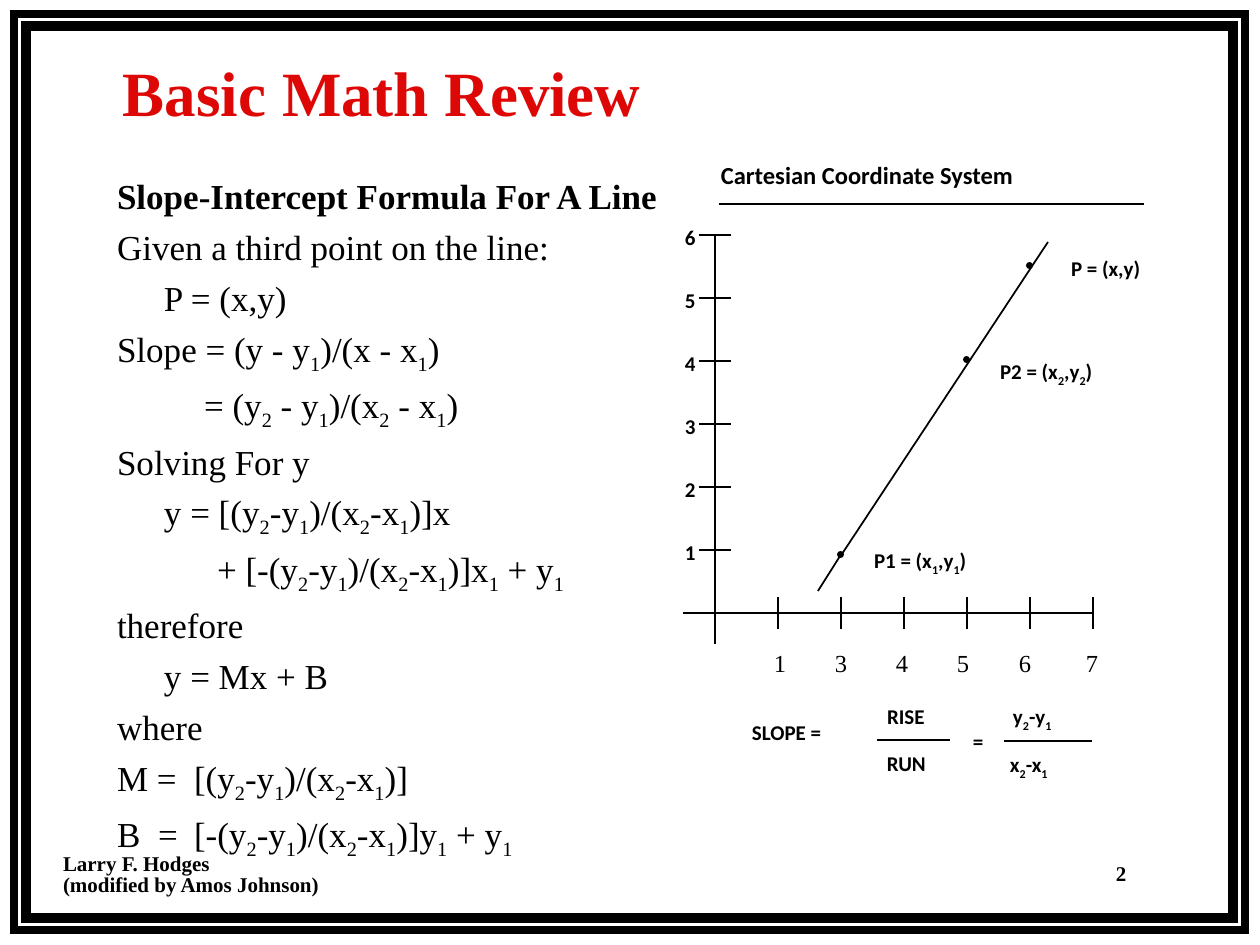
from lxml.etree import SubElement
from pptx import Presentation
from pptx.dml.color import RGBColor
from pptx.enum.shapes import MSO_CONNECTOR, MSO_SHAPE
from pptx.oxml.ns import qn
from pptx.util import Emu, Pt

BLACK = RGBColor(0x00, 0x00, 0x00)
RED = RGBColor(0xDD, 0x08, 0x06)

SERIF = "Times New Roman"
LABEL = {"name": "Calibri", "size": Pt(12), "bold": True}
HEADING = {**LABEL, "size": Pt(14)}
SCALE = {"name": SERIF, "size": Pt(14)}
FOOTER = {"name": SERIF, "size": Pt(12), "bold": True}
TITLE = {"name": SERIF, "size": Pt(36), "bold": True}
BODY = {"name": SERIF, "size": Pt(20)}

WIDE_INSET, NARROW_INSET = (13, 6), (9, 4)
ORIGIN_X, ORIGIN_Y, UNIT, TICK = 715, 613, 63, 16

DERIVATION = [
    ("Slope-Intercept Formula For A Line", 0, ()),
    ("Given a third point on the line:", 0, ()),
    ("P = (x,y)", 47, ()),
    ("Slope = (y - y_1)/(x - x_1)", 0, ()),
    ("= (y_2 - y_1)/(x_2 - x_1)", 87, ()),
    ("Solving For y", 0, ()),
    ("y = [(y_2-y_1)/(x_2-x_1)]x", 47, ()),
    ("+ [-(y_2-y_1)/(x_2-x_1)]x_1 + y_1", 100, ()),
    ("therefore", 0, ()),
    ("y = Mx + B", 47, ()),
    ("where", 0, ()),
    ("M =\t[(y_2-y_1)/(x_2-x_1)]", 0, (77,)),
    ("B\t=\t[-(y_2-y_1)/(x_2-x_1)]y_1 + y_1", 0, (41, 77)),
]
FORMULA_PARTS = [
    ("SLOPE =", 739, 714, 121),
    ("RISE", 874, 698, 134),
    ("RUN", 874, 745, 112),
    ("=", 960, 723, 48),
    ("y_2-y_1", 1000, 698, 89),
    ("x_2-x_1", 997, 746, 89),
]
POINTS = [
    ("P1 = (x_1,y_1)", 861, 542, 838, 552),
    ("P2 = (x_2,y_2)", 987, 353, 964, 357),
    ("P = (x,y)", 1058, 250, 1027, 263),
]


def px(length):
    """Turn pixels into EMU."""
    return Emu(round(length * 914400 / 126))


def add_runs(paragraph, text, style, color=BLACK):
    """Write text whose underscores each lower the digit that follows."""
    first, *rest = text.split("_")
    pieces = [(first, False)]
    for part in rest:
        pieces += [(part[0], True), (part[1:], False)]
    for piece, lowered in pieces:
        if not piece:
            continue
        run = paragraph.add_run()
        run.text = piece
        for name, value in style.items():
            setattr(run.font, name, value)
        run.font.color.rgb = color
        if lowered:
            run.font._element.set("baseline", "-25000")


def add_tabs(paragraph, stops, align="l"):
    """Give a paragraph its tab stops."""
    tab_list = SubElement(paragraph._p.get_or_add_pPr(), qn("a:tabLst"))
    for stop in stops:
        SubElement(tab_list, qn("a:tab"), pos=str(px(stop)), algn=align)


def add_frame(slide, left, top, width, height, inset=WIDE_INSET):
    """Add an empty wrapped text box and return its text frame."""
    frame = slide.shapes.add_textbox(*map(px, (left, top, width, height))).text_frame
    across, down = map(px, inset)
    margins = {"margin_left": across, "margin_right": across,
               "margin_top": down, "margin_bottom": down}
    for name, value in {**margins, "word_wrap": True}.items():
        setattr(frame, name, value)
    return frame


def add_label(slide, text, left, top, width, height=38, style=LABEL,
              color=BLACK, inset=WIDE_INSET, spacing=None):
    """Add a text box with one paragraph per line of text."""
    frame = add_frame(slide, left, top, width, height, inset)
    for index, line in enumerate(text.split("\n")):
        paragraph = frame.add_paragraph() if index else frame.paragraphs[0]
        paragraph.line_spacing = spacing
        add_runs(paragraph, line, style, color)


def add_line(slide, x1, y1, x2, y2):
    """Draw a thin black line."""
    line = slide.shapes.add_connector(MSO_CONNECTOR.STRAIGHT, *map(px, (x1, y1, x2, y2)))
    line.line.color.rgb = BLACK
    line.line.width = Pt(1)
    SubElement(line._element.spPr, qn("a:effectLst"))


def add_outline(slide, kind, left, top, width, height, weight, filled=False):
    """Add a black-edged shape with sharp corners, solid or hollow."""
    shape = slide.shapes.add_shape(kind, *map(px, (left, top, width, height)))
    shape.shadow.inherit = False
    shape.line.color.rgb = BLACK
    shape.line.width = Pt(weight)
    SubElement(shape._element.spPr.find(qn("a:ln")), qn("a:miter"), lim="800000")
    if filled:
        shape.fill.solid()
        shape.fill.fore_color.rgb = BLACK
    else:
        shape.fill.background()


def add_derivation(slide):
    """Write the steps from slope to intercept."""
    frame = add_frame(slide, 104, 169, 777, 703)
    for index, (step, indent, stops) in enumerate(DERIVATION):
        paragraph = frame.add_paragraph() if index else frame.paragraphs[0]
        if index:
            paragraph.space_before = Pt(5)
        paragraph._p.get_or_add_pPr().set("marL", str(px(indent)))
        if stops:
            add_tabs(paragraph, stops)
        add_runs(paragraph, step, {**BODY, "bold": index == 0})


def add_graph(slide):
    """Draw the axes, their scales, the line and its points."""
    add_label(slide, "Cartesian Coordinate System", 708, 154, 381, 42, HEADING)
    add_line(slide, 1144, 204, 719, 204)
    add_line(slide, ORIGIN_X, 234, ORIGIN_X, 644)
    add_line(slide, 683, ORIGIN_Y, 1093, ORIGIN_Y)
    for step in range(1, 7):
        x, y = ORIGIN_X + step * UNIT, ORIGIN_Y - step * UNIT
        add_line(slide, ORIGIN_X - TICK, y, ORIGIN_X + TICK, y)
        add_line(slide, x, ORIGIN_Y - TICK, x, ORIGIN_Y + TICK)
        add_label(slide, str(step), 672, y - 16, 40)
    scale = add_frame(slide, 722, 642, 440, 45).paragraphs[0]
    add_tabs(scale, (45, 106, 167, 228, 290, 357), "ctr")
    add_runs(scale, "\t1\t3\t4\t5\t6\t7", SCALE)
    add_line(slide, 840, 557, 1048, 242)
    add_line(slide, 842, 553, 818, 591)
    for name, left, top, dot_left, dot_top in POINTS:
        add_outline(slide, MSO_SHAPE.OVAL, dot_left, dot_top, 5, 5, 1, filled=True)
        add_label(slide, name, left, top, 131, 40)


def add_slope_formula(slide):
    """Write slope as rise over run."""
    for text, left, top, width in FORMULA_PARTS:
        add_label(slide, text, left, top, width)
    add_line(slide, 877, 740, 950, 740)
    add_line(slide, 1004, 741, 1092, 741)


def main():
    """Build the slide and save it."""
    deck = Presentation()
    deck.slide_width, deck.slide_height = px(1260), px(945)
    slide = deck.slides.add_slide(deck.slide_layouts[6])
    add_outline(slide, MSO_SHAPE.RECTANGLE, 26, 26, 1207, 892, 6)
    add_outline(slide, MSO_SHAPE.RECTANGLE, 14, 14, 1231, 916, 4.5)
    add_label(slide, "Larry F. Hodges\n(modified by Amos Johnson)", 54, 850, 282, 50,
              FOOTER, inset=NARROW_INSET, spacing=0.85)
    add_label(slide, "2", 1107, 860, 112, 29, FOOTER, inset=NARROW_INSET, spacing=0.88)
    add_label(slide, "Basic Math Review", 114, 59, 550, 73, TITLE, RED, NARROW_INSET, 0.88)
    add_derivation(slide)
    add_graph(slide)
    add_slope_formula(slide)
    deck.save("out.pptx")


if __name__ == "__main__":
    main()
